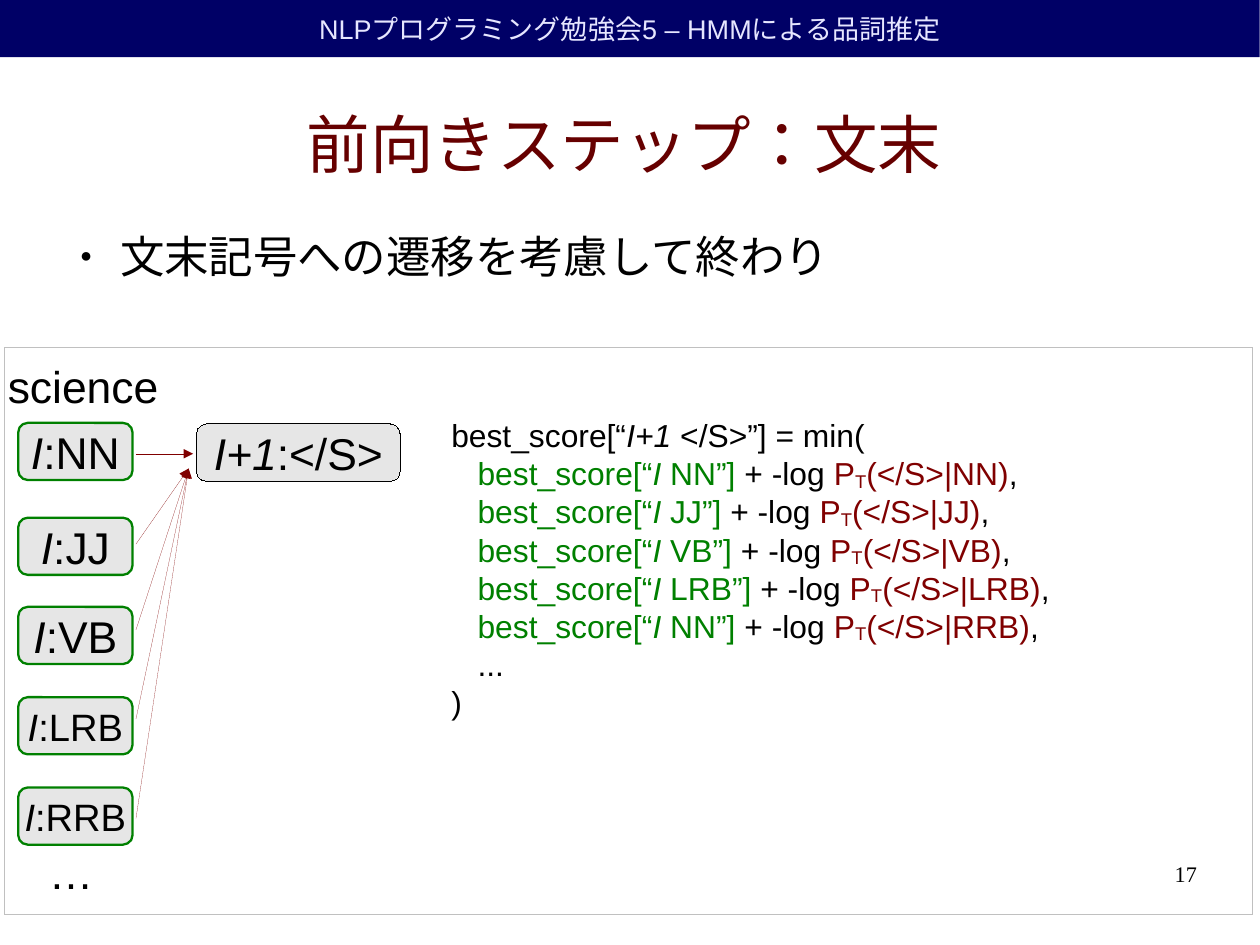
import pptx
import pptx.util
import pptx.dml.color
import pptx.enum.shapes
import pptx.enum.text
import pptx.oxml.ns
import lxml.etree

Inches = pptx.util.Inches
Pt = pptx.util.Pt
RGBColor = pptx.dml.color.RGBColor
SHAPE = pptx.enum.shapes.MSO_SHAPE
ALIGN = pptx.enum.text.PP_ALIGN
ANCHOR = pptx.enum.text.MSO_ANCHOR
qn = pptx.oxml.ns.qn

NAVY = RGBColor(0x00, 0x00, 0x66)
LAVENDER = RGBColor(0xE6, 0xE6, 0xFF)
WINE = RGBColor(0x66, 0x00, 0x00)
MAROON = RGBColor(0x80, 0x00, 0x00)
GREEN = RGBColor(0x00, 0x80, 0x00)
BLACK = RGBColor(0x00, 0x00, 0x00)
LIGHT = RGBColor(0xE6, 0xE6, 0xE6)
SILVER = RGBColor(0xC0, 0xC0, 0xC0)


def add_run(p, text, size=28, color=BLACK, italic=False, font="Arial", baseline=None, lang="en-US"):
    r = p.add_run()
    r.text = text
    r.font.size = Pt(size)
    r.font.name = font
    r.font.italic = italic
    r.font.color.rgb = color
    r.font._element.set("lang", lang)
    if baseline is not None:
        r.font._element.set("baseline", str(baseline))


def add_box(s, kind, left, top, width, height, fill=None, line=None, weight=0):
    sp = s.shapes.add_shape(kind, Inches(left), Inches(top), Inches(width), Inches(height))
    sp.shadow.inherit = False
    if fill is None:
        sp.fill.background()
    else:
        sp.fill.solid()
        sp.fill.fore_color.rgb = fill
    if line is None:
        sp.line.fill.background()
    else:
        sp.line.color.rgb = line
        sp.line._get_or_add_ln().set("w", str(Pt(weight)))
    tf = sp.text_frame
    tf.word_wrap = False
    tf.vertical_anchor = ANCHOR.MIDDLE
    p = tf.paragraphs[0]
    p.alignment = ALIGN.CENTER
    return p


prs = pptx.Presentation()
prs.slide_width = Inches(28 / 2.54)
prs.slide_height = Inches(21 / 2.54)
s = prs.slides.add_slide(prs.slide_layouts[1])

p = add_box(s, SHAPE.RECTANGLE, 0, 0, 11.02, 0.5, fill=NAVY)
add_run(p, "NLPプログラミング勉強会5 – HMMによる品詞推定", size=17, color=LAVENDER, lang="ja-JP")

title, body = s.placeholders
for sp, left, top, height in [(title, 0.5, 0.62, 1.27), (body, 0.58, 2, 0.56)]:
    sp.left, sp.top = Inches(left), Inches(top)
    sp.width, sp.height = Inches(9.92), Inches(height)
    tf = sp.text_frame
    tf.auto_size = pptx.enum.text.MSO_AUTO_SIZE.NONE
    tf.margin_left = tf.margin_right = tf.margin_top = tf.margin_bottom = 0

p = title.text_frame.paragraphs[0]
p.alignment = ALIGN.CENTER
add_run(p, "前向きステップ：文末", size=40, color=WINE, lang="ja-JP")

p = body.text_frame.paragraphs[0]
p.space_before = Pt(0)
add_run(p, "文末記号への遷移を考慮して終わり", lang="ja-JP")
pPr = p._p.get_or_add_pPr()
pPr.set("marL", str(Inches(0.47)))
pPr.set("indent", str(Inches(-0.35)))
lxml.etree.SubElement(pPr, qn("a:buSzPct")).set("val", "45000")
lxml.etree.SubElement(pPr, qn("a:buChar")).set("char", "●")

tags = [
    ("NN", 3.7, 28, 3.97),
    ("JJ", 4.53, 28, 4.76),
    ("VB", 5.31, 28, 5.51),
    ("LRB", 6.1, 24, 6.29),
    ("RRB", 6.89, 24, 7.16),
]
for tag, top, size, start in tags:
    p = add_box(s, SHAPE.ROUNDED_RECTANGLE, 0.16, top, 1, 0.5, fill=LIGHT, line=GREEN, weight=1.45)
    add_run(p, "I", size=size, italic=True)
    add_run(p, ":" + tag, size=size)

labels = [
    ("…", 0.33, 7.34, 0.59, 0.53, 28, "Arial", ALIGN.LEFT),
    ("science", -0.03, 3.09, 1.6, 0.53, 28, "Arial", ALIGN.LEFT),
    ("17", 7.9, 7.48, 2.67, 0.57, 14, "Times New Roman", ALIGN.RIGHT),
]
for text, left, top, width, height, size, font, align in labels:
    tb = s.shapes.add_textbox(Inches(left), Inches(top), Inches(width), Inches(height))
    tb.text_frame.word_wrap = True
    p = tb.text_frame.paragraphs[0]
    p.alignment = align
    add_run(p, text, size=size, font=font)

tb = s.shapes.add_textbox(Inches(3.85), Inches(3.59), Inches(5.6), Inches(3.04))
tf = tb.text_frame
tf.word_wrap = True
p = tf.paragraphs[0]
pPr = p._p.get_or_add_pPr()
pPr.set("marL", str(Inches(0.23)))
pPr.set("indent", str(Inches(-0.23)))
add_run(p, "best_score[“", size=20)
add_run(p, "I+1", size=20, italic=True)
add_run(p, " </S>”] = min(", size=20)

terms = [("NN", "NN"), ("JJ", "JJ"), ("VB", "VB"), ("LRB", "LRB"), ("NN", "RRB")]
for state, given in terms:
    p.add_line_break()
    add_run(p, "best_score[“", size=20, color=GREEN)
    add_run(p, "I", size=20, color=GREEN, italic=True)
    add_run(p, f" {state}”]", size=20, color=GREEN)
    add_run(p, " + -log ", size=20)
    add_run(p, "P", size=20, color=MAROON)
    add_run(p, "T", size=20, color=MAROON, baseline=-8000)
    add_run(p, f"(</S>|{given})", size=20, color=MAROON)
    add_run(p, ",", size=20)

p = tf.add_paragraph()
p._p.get_or_add_pPr().set("indent", str(Inches(0.23)))
add_run(p, "...", size=20)
p.add_line_break()
add_run(p, ")", size=20)

p = add_box(s, SHAPE.ROUNDED_RECTANGLE, 1.72, 3.71, 1.78, 0.5, fill=LIGHT, line=BLACK)
add_run(p, "I+1", italic=True)
add_run(p, ":</S>")

for tag, top, size, start in tags:
    end = (1.69, 3.97) if tag == "NN" else (1.65, 4.1)
    arrow = s.shapes.add_connector(
        pptx.enum.shapes.MSO_CONNECTOR.STRAIGHT,
        Inches(1.19), Inches(start), Inches(end[0]), Inches(end[1]))
    arrow.line.color.rgb = MAROON
    ln = arrow.line._get_or_add_ln()
    ln.set("w", "0")
    lxml.etree.SubElement(ln, qn("a:tailEnd")).set("type", "triangle")
    lxml.etree.SubElement(arrow._element.spPr, qn("a:effectLst"))

add_box(s, SHAPE.RECTANGLE, 0.04, 3.04, 10.92, 4.96, line=SILVER)

prs.save("out.pptx")
